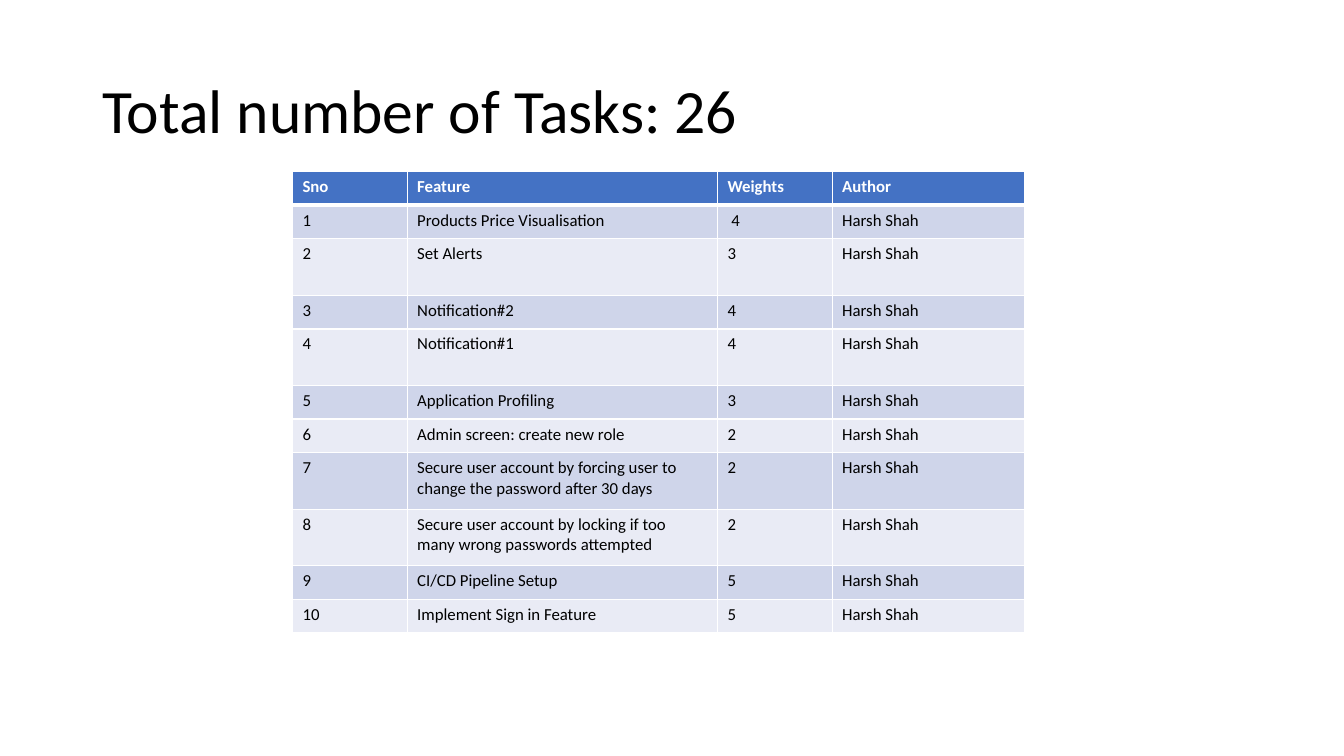
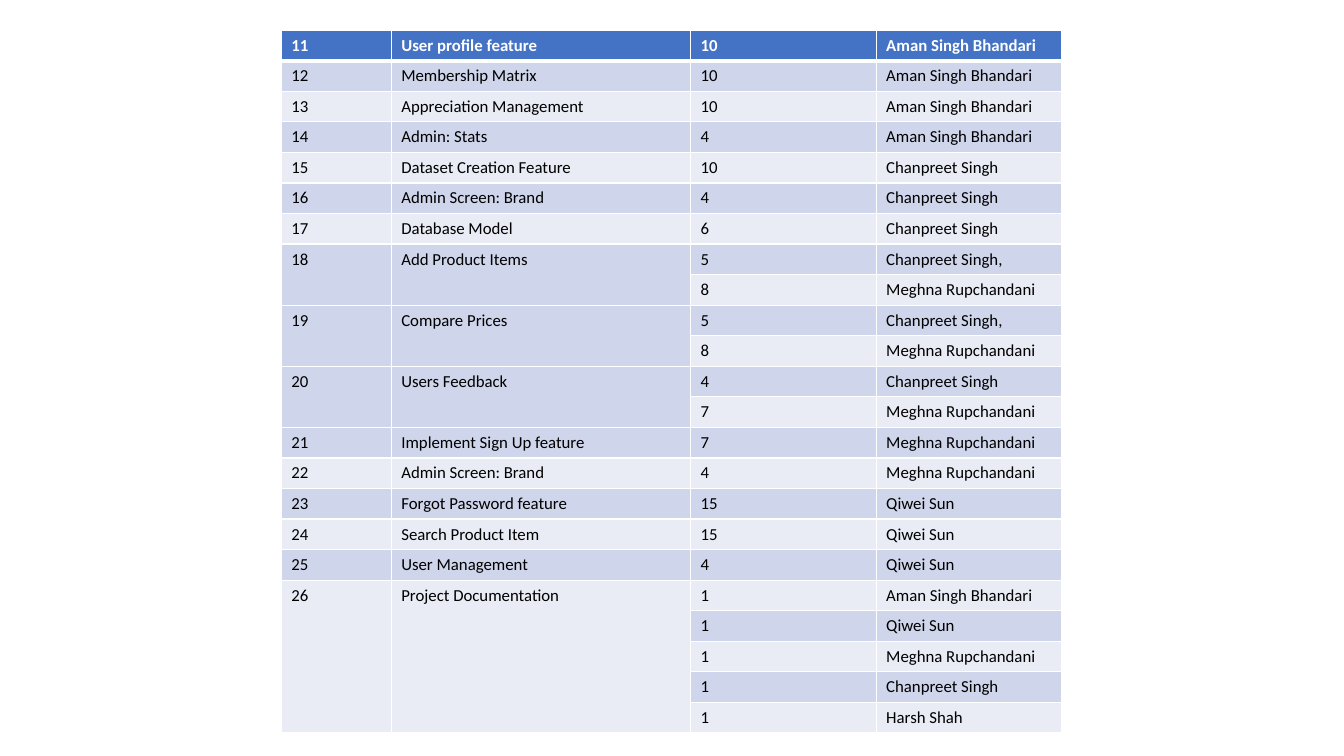
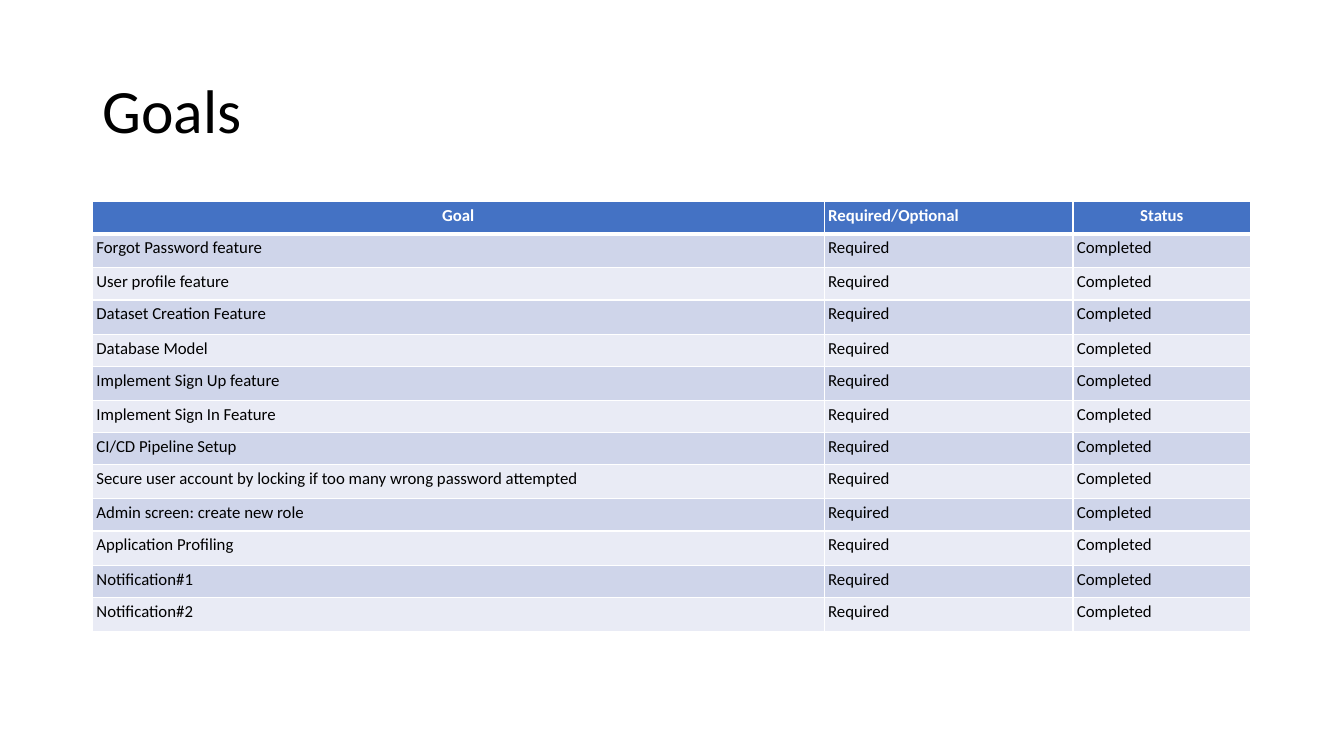
import pptx
import pptx.dml.color
import pptx.enum.text
import pptx.oxml
import pptx.oxml.ns
import pptx.util
from pptx.util import Cm

RGBColor = pptx.dml.color.RGBColor
PP_ALIGN = pptx.enum.text.PP_ALIGN

BLACK = RGBColor(0x00, 0x00, 0x00)
WHITE = RGBColor(0xFF, 0xFF, 0xFF)
HEADER_BLUE = RGBColor(0x44, 0x72, 0xC4)
BANDS = (RGBColor(0xCF, 0xD5, 0xEA), RGBColor(0xE9, 0xEB, 0xF5))
FONT = "Calibri"

HARSH = "Harsh Shah"
AMAN = "Aman Singh Bhandari"
CHANPREET = "Chanpreet Singh"
MEGHNA = "Meghna Rupchandani"
QIWEI = "Qiwei Sun"

FIRST_TASKS = [
    ("Sno", "Feature", "Weights", "Author"),
    ("1", "Products Price Visualisation", " 4", HARSH),
    ("2", "Set Alerts", "3", HARSH),
    ("3", "Notification#2", "4", HARSH),
    ("4", "Notification#1", "4", HARSH),
    ("5", "Application Profiling", "3", HARSH),
    ("6", "Admin screen: create new role", "2", HARSH),
    ("7", "Secure user account by forcing user to change the password after 30 days",
     "2", HARSH),
    ("8", "Secure user account by locking if too many wrong passwords attempted",
     "2", HARSH),
    ("9", "CI/CD Pipeline Setup", "5", HARSH),
    ("10", "Implement Sign in Feature", "5", HARSH),
]

# None continues the cell above
MORE_TASKS = [
    ("11", "User profile feature", "10", AMAN),
    ("12", "Membership Matrix", "10", AMAN),
    ("13", "Appreciation Management", "10", AMAN),
    ("14", "Admin: Stats", "4", AMAN),
    ("15", "Dataset Creation Feature", "10", CHANPREET),
    ("16", "Admin Screen: Brand", "4", CHANPREET),
    ("17", "Database Model", "6", CHANPREET),
    ("18", "Add Product Items", "5", CHANPREET + ","),
    (None, None, "8", MEGHNA),
    ("19", "Compare Prices", "5", CHANPREET + ","),
    (None, None, "8", MEGHNA),
    ("20", "Users Feedback", "4", CHANPREET),
    (None, None, "7", MEGHNA),
    ("21", "Implement Sign Up feature", "7", MEGHNA),
    ("22", "Admin Screen: Brand", "4", MEGHNA),
    ("23", "Forgot Password feature", "15", QIWEI),
    ("24", "Search Product Item", "15", QIWEI),
    ("25", "User Management", "4", QIWEI),
    ("26", "Project Documentation", "1", AMAN),
    (None, None, "1", QIWEI),
    (None, None, "1", MEGHNA),
    (None, None, "1", CHANPREET),
    (None, None, "1", HARSH),
]

GOALS = [
    "Forgot Password feature",
    "User profile feature",
    "Dataset Creation Feature",
    "Database Model",
    "Implement Sign Up feature",
    "Implement Sign In Feature",
    "CI/CD Pipeline Setup",
    "Secure user account by locking if too many wrong password attempted",
    "Admin screen: create new role",
    "Application Profiling",
    "Notification#1",
    "Notification#2",
]
GOAL_ROWS = [("Goal", "Required/Optional", "Status")]
GOAL_ROWS += [(goal, "Required", "Completed") for goal in GOALS]

# Lengths in cm; tall holds the indexes of the taller rows
SLIDES = [
    dict(title="Total number of Tasks: 26", rows=FIRST_TASKS, left=7.37, top=4.32,
         widths=(2.89, 7.82, 2.89, 4.86), heights=(0.85, 1.42), tall={2, 4, 7, 8}),
    dict(title=None, rows=MORE_TASKS, left=7.09, top=0.76,
         widths=(2.77, 7.54, 4.68, 4.68), heights=(0.77, 0.77)),
    dict(title="Goals", rows=GOAL_ROWS, left=2.33, top=5.08,
         widths=(18.44, 6.27, 4.48), heights=(0.81, 0.86),
         tall={1, 3, 5, 8, 10, 12}, inset=0.1, centred={0, 2}),
]


def write(tf, text, size=12, color=BLACK, bold=False, align=PP_ALIGN.LEFT, spacing=1.0):
    p = tf.paragraphs[0]
    p.alignment = align
    p.line_spacing = spacing
    r = p.add_run()
    r.text = text
    r.font.name = FONT
    r.font.size = pptx.util.Pt(size)
    r.font.bold = bold
    r.font.color.rgb = color


def add_title(slide, text):
    sp = slide.shapes.add_textbox(Cm(2.33), Cm(1.01), Cm(29.21), Cm(3.68))
    tf = sp.text_frame
    tf.word_wrap = True
    tf.vertical_anchor = pptx.enum.text.MSO_ANCHOR.MIDDLE
    write(tf, text, size=44, spacing=0.9)


def set_borders(cell, **points):
    """Draw white cell borders, given in points by side: L, R, T, B."""
    tc_pr = cell._tc.get_or_add_tcPr()
    for side, width in points.items():
        tc_pr.append(pptx.oxml.parse_xml(
            f'<a:ln{side} {pptx.oxml.ns.nsdecls("a")} w="{pptx.util.Pt(width)}">'
            f'<a:solidFill><a:srgbClr val="{WHITE}"/></a:solidFill></a:ln{side}>'))


def add_banded_table(slide, rows, left, top, widths, heights, tall=(), inset=None,
                     centred=()):
    row_heights = [heights[i in tall] for i in range(len(rows))]
    table = slide.shapes.add_table(len(rows), len(widths), Cm(left), Cm(top),
                                   Cm(sum(widths)), Cm(sum(row_heights))).table
    table.first_row = table.horz_banding = False
    for column, width in zip(table.columns, widths):
        column.width = Cm(width)
    for row, height in zip(table.rows, row_heights):
        row.height = Cm(height)

    for i, values in enumerate(rows):
        header = i == 0
        for j, text in enumerate(values):
            cell = table.cell(i, j)
            if inset is not None:
                cell.margin_left = cell.margin_right = Cm(inset)
                cell.margin_top = cell.margin_bottom = Cm(inset)
            set_borders(cell, L=1, R=1, T=3 if i == 1 else 1, B=3 if header else 1)
            cell.fill.solid()
            cell.fill.fore_color.rgb = HEADER_BLUE if header else BANDS[(i - 1) % 2]
            if text is not None:
                write(cell.text_frame, text, bold=header,
                      color=WHITE if header else BLACK,
                      align=PP_ALIGN.CENTER if header and j in centred else PP_ALIGN.LEFT)

    for j in range(len(widths)):
        starts = [i for i, values in enumerate(rows) if values[j] is not None]
        for start, end in zip(starts, starts[1:] + [len(rows)]):
            if end - start > 1:
                table.cell(start, j).merge(table.cell(end - 1, j))


def main():
    prs = pptx.Presentation()
    prs.slide_width, prs.slide_height = Cm(33.87), Cm(19.05)
    for content in SLIDES:
        slide = prs.slides.add_slide(prs.slide_layouts[6])
        title, *_ = content.values()
        if title:
            add_title(slide, title)
        add_banded_table(slide, **{k: v for k, v in content.items() if k != "title"})
    prs.save("out.pptx")


if __name__ == "__main__":
    main()
